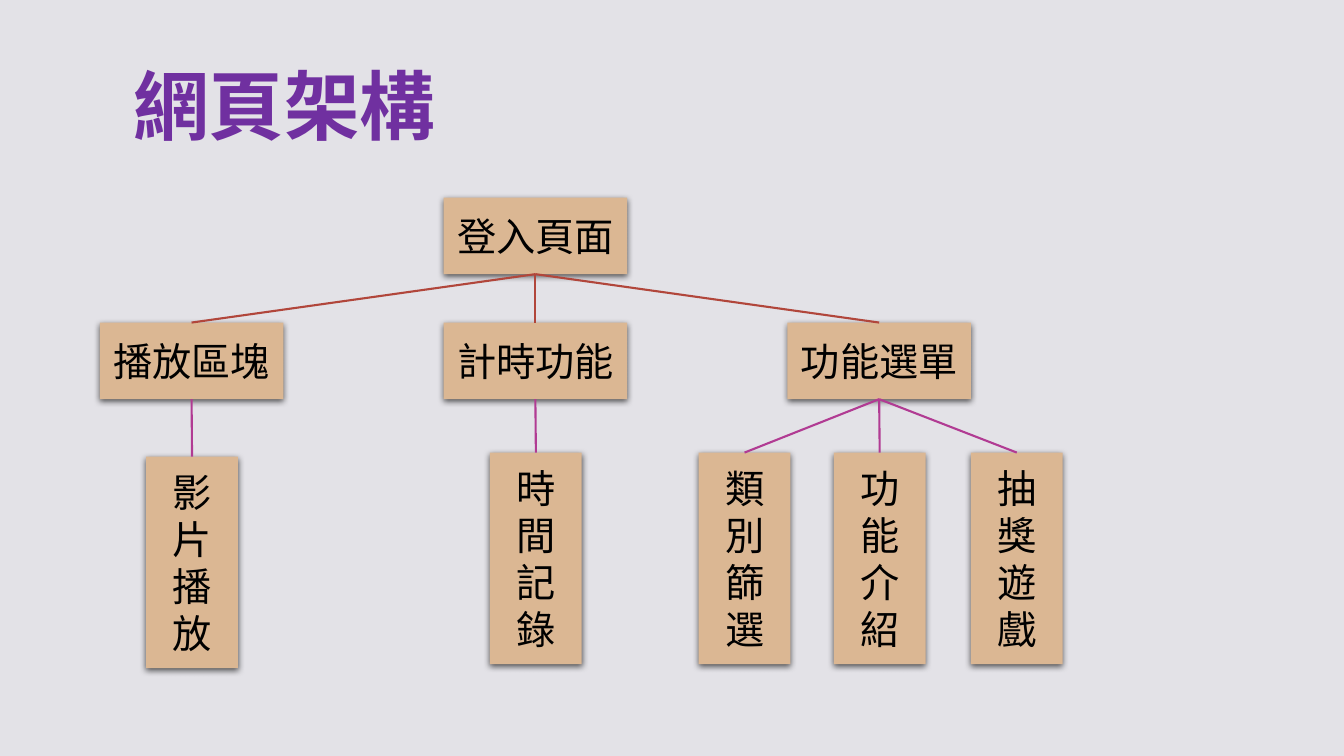
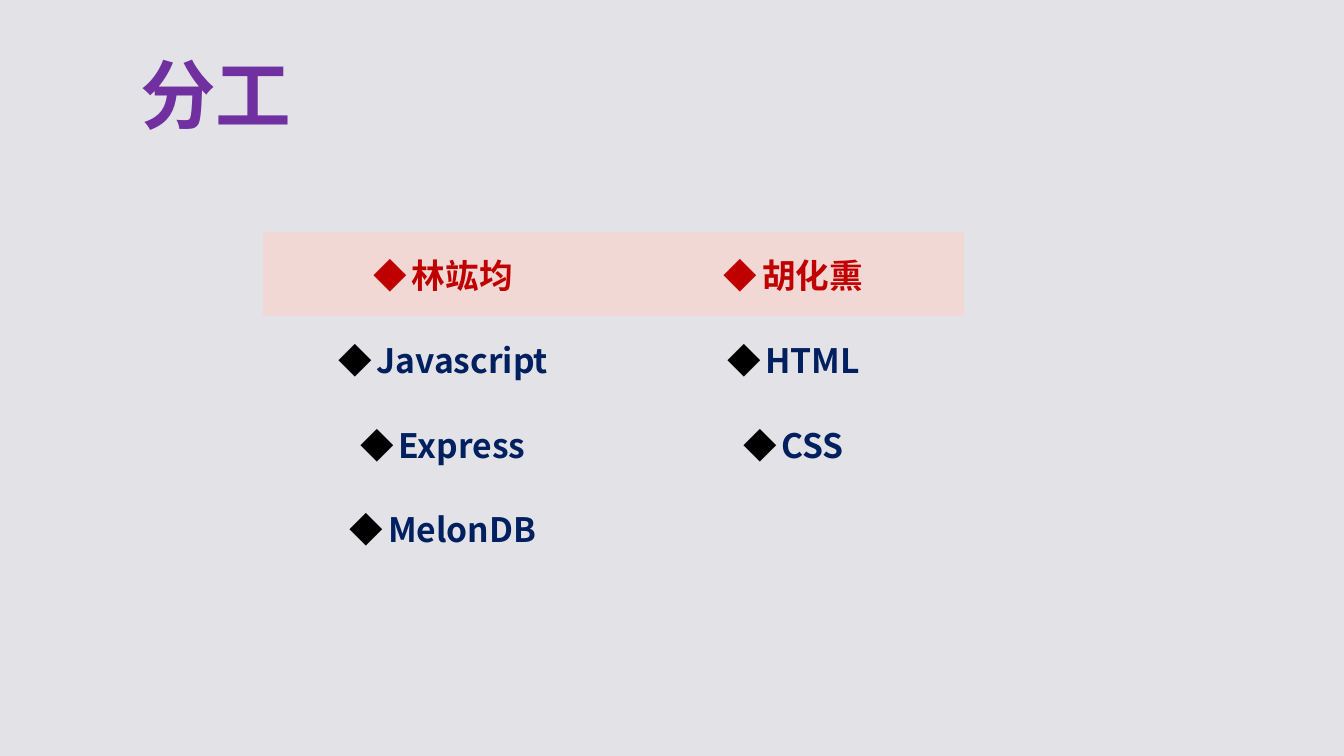
import pptx
import pptx.dml.color
import pptx.enum.shapes
import pptx.enum.text
import pptx.oxml.ns
import pptx.util
from lxml import etree

SCALE = 9144
FACE = "Noto Sans CJK TC"
BACK = "E3E2E7"
PURPLE = "7030A0"
TAN = "DBB793"
BLACK = "000000"
RED = "C00000"
NAVY = "002060"
PINK = "F1D8D4"
RUST = "B1463B"
PLUM = "B13B93"
PLAIN = "{2D5ABB26-0587-4C30-8999-92F81FD0307C}"

WIDE = (182, 76)
TALL = (91, 210)
ROOT = ("登入頁面", 531, 196)
LIMBS = [
    ("播放區塊", 190, [("影片播放", 190, 453)]),
    ("計時功能", 531, [("時間記錄", 531, 449)]),
    ("功能選單", 872, [("類別篩選", 738, 449), ("功能介紹", 872, 449), ("抽獎遊戲", 1008, 449)]),
]
ROWS = [("林竑均", "胡化熏"), ("Javascript", "HTML"), ("Express", "CSS"), ("MelonDB", "")]


def px(size):
    return pptx.util.Emu(size * SCALE)


def tint(code):
    return pptx.dml.color.RGBColor.from_string(code)


def add(node, tag, **attrs):
    return etree.SubElement(node, pptx.oxml.ns.qn(tag), attrs)


def style(para, size, color, bold=False):
    font = para.font
    font.size = pptx.util.Pt(size)
    font.bold = bold
    font.color.rgb = tint(color)
    font.name = FACE
    base = para._p.pPr.find(pptx.oxml.ns.qn("a:defRPr"))
    add(base, "a:ea", typeface=FACE)


def bullet(para, color):
    props = para._p.get_or_add_pPr()
    props.set("marL", str(px(38)))
    props.set("indent", str(-px(38)))
    add(add(props, "a:buClr"), "a:srgbClr", val=color)
    add(props, "a:buFont", typeface=FACE)
    add(props, "a:buChar", char="◆")


def shade(shape):
    shape.shadow.inherit = False
    effect = shape._element.spPr.find(pptx.oxml.ns.qn("a:effectLst"))
    outer = add(effect, "a:outerShdw", blurRad=str(pptx.util.Pt(4.5)),
                dist=str(pptx.util.Pt(1.5)), dir="5400000", algn="ctr", rotWithShape="0")
    add(add(outer, "a:srgbClr", val=BLACK), "a:alpha", val="63000")


def title(slide, text, left, top):
    frame = slide.shapes.add_textbox(px(left), px(top), px(1000), px(145)).text_frame
    frame.word_wrap = True
    frame.vertical_anchor = pptx.enum.text.MSO_ANCHOR.MIDDLE
    frame.margin_left = frame.margin_right = frame.margin_top = px(12)
    frame.margin_bottom = px(10)
    frame.text = text
    style(frame.paragraphs[0], 54, PURPLE, True)


def box(slide, text, mid, top, size):
    width, height = size
    shape = slide.shapes.add_shape(
        pptx.enum.shapes.MSO_SHAPE.RECTANGLE,
        px(mid - width // 2), px(top), px(width), px(height))
    shape.fill.solid()
    shape.fill.fore_color.rgb = tint(TAN)
    shape.line.fill.background()
    shade(shape)
    frame = shape.text_frame
    frame.word_wrap = True
    frame.vertical_anchor = pptx.enum.text.MSO_ANCHOR.MIDDLE
    frame.text = text
    para = frame.paragraphs[0]
    para.alignment = pptx.enum.text.PP_ALIGN.CENTER
    style(para, 28, BLACK)
    return shape


def link(slide, upper, lower, color):
    line = slide.shapes.add_connector(pptx.enum.shapes.MSO_CONNECTOR.STRAIGHT, 0, 0, 0, 0)
    line.begin_connect(upper, 2)
    line.end_connect(lower, 0)
    line.line.color.rgb = tint(color)
    line.line.width = pptx.util.Pt(1.5)
    add(line._element.spPr, "a:effectLst")


def tree(slide):
    root = box(slide, *ROOT, WIDE)
    for text, mid, leaves in LIMBS:
        limb = box(slide, text, mid, 320, WIDE)
        link(slide, root, limb, RUST)
        for leaf in leaves:
            link(slide, limb, box(slide, *leaf, TALL), PLUM)


def fill(cell, text, head):
    cell.vertical_anchor = pptx.enum.text.MSO_ANCHOR.MIDDLE
    cell.margin_left = cell.margin_right = px(10)
    cell.margin_top = cell.margin_bottom = px(10)
    if head:
        cell.fill.solid()
        cell.fill.fore_color.rgb = tint(PINK)
    else:
        cell.fill.background()
    if text:
        cell.text = text
        para = cell.text_frame.paragraphs[0]
        para.alignment = pptx.enum.text.PP_ALIGN.CENTER
        bullet(para, RED if head else BLACK)
        style(para, 24, RED if head else NAVY, True)


def grid(slide):
    table = slide.shapes.add_table(
        len(ROWS), 2, px(261), px(230), px(695), px(84 * len(ROWS))).table
    table.horz_banding = False
    table._tbl.tblPr.find(pptx.oxml.ns.qn("a:tableStyleId")).text = PLAIN
    for col, width in zip(table.columns, (357, 338)):
        col.width = px(width)
    for row, texts in enumerate(ROWS):
        for col, text in enumerate(texts):
            fill(table.cell(row, col), text, row == 0)


def main():
    deck = pptx.Presentation()
    deck.slide_width, deck.slide_height = px(1333), px(750)
    back = deck.slide_master.background.fill
    back.solid()
    back.fore_color.rgb = tint(BACK)
    blank = deck.slide_layouts[6]

    slide = deck.slides.add_slide(blank)
    title(slide, "網頁架構", 120, 30)
    tree(slide)

    slide = deck.slides.add_slide(blank)
    title(slide, "分工", 127, 19)
    grid(slide)

    deck.save("out.pptx")


if __name__ == "__main__":
    main()
